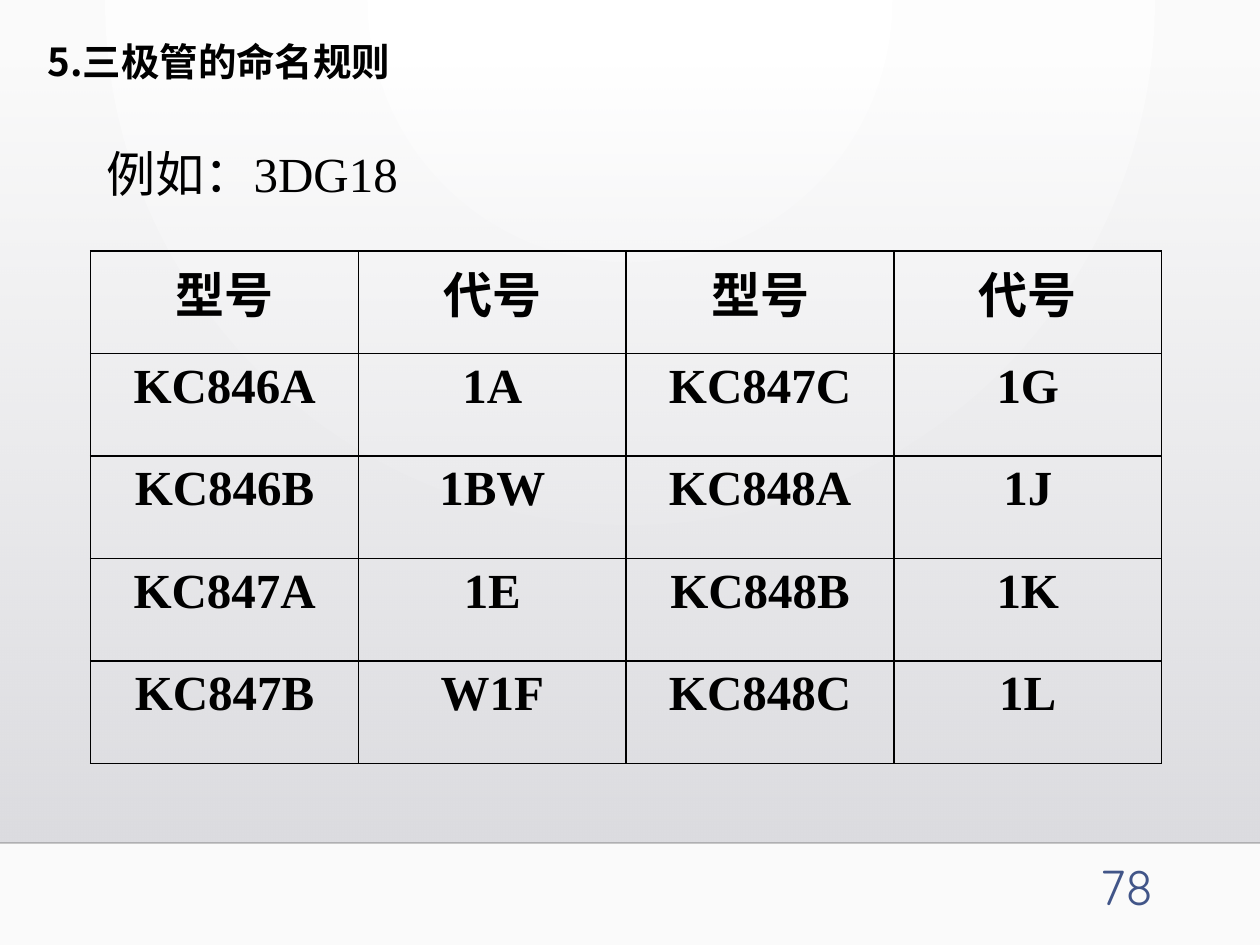
import dataclasses
import pptx
import pptx.dml.color
import pptx.enum.shapes
import pptx.enum.text
import pptx.oxml.ns
import pptx.util
from pptx.util import Inches

qn = pptx.oxml.ns.qn
Align = pptx.enum.text.PP_ALIGN
Anchor = pptx.enum.text.MSO_ANCHOR


@dataclasses.dataclass(frozen=True)
class Theme:
    ink: str = "000000"
    rule: str = "000001"
    number: str = "415588"
    backdrop: tuple = ("FFFFFF", "FAFAFA")
    shade: tuple = ("DCDCE0", "DEDEE2")
    serif: str = "Times New Roman"
    chinese: str = "Noto Sans CJK SC"
    rounded: str = "Quicksand"
    title_size: int = 22
    body_size: int = 28


def rgb(value):
    return pptx.dml.color.RGBColor.from_string(value)


def add_element(parent, tag, **attributes):
    child = parent.makeelement(qn(tag), attributes)
    parent.append(child)
    return child


class SlideBuilder:
    def __init__(self, slide, theme):
        self.slide = slide
        self.theme = theme

    def gradient(self, fill, colors):
        fill.gradient()
        for stop, color, position in zip(fill.gradient_stops, colors, (0, 1)):
            stop.color.rgb = rgb(color)
            stop.position = position

    def background(self):
        self.gradient(self.slide.background.fill, self.theme.backdrop)
        gradient = next(self.slide.element.iter(qn("a:gradFill")))
        gradient.remove(gradient.find(qn("a:lin")))
        radial = add_element(gradient, "a:path", path="circle")
        add_element(radial, "a:fillToRect", l="43000", t="0", r="43000", b="100000")

    def shade(self, left, top, width, height):
        shape = self.slide.shapes.add_shape(
            pptx.enum.shapes.MSO_SHAPE.RECTANGLE,
            Inches(left), Inches(top), Inches(width), Inches(height))
        shape.shadow.inherit = False
        shape.line.fill.background()
        self.gradient(shape.fill, self.theme.shade)
        gradient = next(shape.element.iter(qn("a:gradFill")))
        gradient.find(qn("a:lin")).set("ang", "5400000")
        add_element(next(gradient.iter(qn("a:srgbClr"))), "a:alpha", val="0")

    def rule(self, left, right, height):
        line = self.slide.shapes.add_connector(
            pptx.enum.shapes.MSO_CONNECTOR.STRAIGHT,
            Inches(left), Inches(height), Inches(right), Inches(height))
        line.line.width = pptx.util.Pt(1)
        line.line.color.rgb = rgb(self.theme.rule)
        add_element(next(line.element.iter(qn("a:srgbClr"))), "a:alpha", val="20000")
        add_element(line.element.spPr, "a:effectLst")

    def paragraph(self, para, text, font, size, color, bold=False, align=Align.LEFT):
        para.add_run().text = text
        para.alignment = align
        para.font.name = font
        para.font.size = pptx.util.Pt(size)
        para.font.bold = bold
        para.font.color.rgb = rgb(color)
        properties = next(para._p.iter(qn("a:defRPr")))
        add_element(properties, "a:ea", typeface=self.theme.chinese)

    def text(self, left, top, width, height, text, font, size, color,
             bold=False, align=Align.LEFT, anchor=Anchor.MIDDLE):
        box = self.slide.shapes.add_textbox(
            Inches(left), Inches(top), Inches(width), Inches(height))
        box.text_frame.word_wrap = True
        box.text_frame.vertical_anchor = anchor
        self.paragraph(box.text_frame.paragraphs[0], text, font, size, color, bold, align)

    def border(self, cell):
        properties = cell._tc.get_or_add_tcPr()
        for index, side in enumerate(("a:lnL", "a:lnR", "a:lnT", "a:lnB")):
            line = properties.makeelement(qn(side), {"w": str(pptx.util.Pt(1))})
            solid = add_element(line, "a:solidFill")
            add_element(solid, "a:srgbClr", val=self.theme.ink)
            properties.insert(index, line)

    def table(self, left, top, width, height, rows):
        frame = self.slide.shapes.add_table(
            len(rows), len(rows[0]),
            Inches(left), Inches(top), Inches(width), Inches(height))
        table = frame.table
        table.first_row = table.horz_banding = False
        for row_index, row in enumerate(rows):
            for column_index, text in enumerate(row):
                cell = table.cell(row_index, column_index)
                cell.fill.background()
                self.border(cell)
                self.paragraph(cell.text_frame.paragraphs[0], text, self.theme.serif,
                               self.theme.body_size, self.theme.ink, True, Align.CENTER)


def main():
    theme = Theme()
    deck = pptx.Presentation()
    deck.slide_width, deck.slide_height = Inches(10), Inches(7.5)
    page = SlideBuilder(deck.slides.add_slide(deck.slide_layouts[6]), theme)
    page.background()
    page.shade(0, 0.51, 10, 6.18)
    page.rule(0, 10, 6.69)
    page.text(0.28, 0.25, 7.8, 0.47, "5.三极管的命名规则",
              theme.chinese, theme.title_size, theme.ink, bold=True)
    page.text(0.75, 1.09, 6.69, 0.57, "例如：3DG18",
              theme.serif, theme.body_size, theme.ink)
    page.table(0.72, 1.99, 8.5, 4.07, [
        ("型号", "代号", "型号", "代号"),
        ("KC846A", "1A", "KC847C", "1G"),
        ("KC846B", "1BW", "KC848A", "1J"),
        ("KC847A", "1E", "KC848B", "1K"),
        ("KC847B", "W1F", "KC848C", "1L"),
    ])
    page.text(7.17, 6.75, 2.08, 0.5, "78", theme.rounded, theme.body_size,
              theme.number, align=Align.RIGHT, anchor=Anchor.TOP)
    deck.save("out.pptx")


if __name__ == "__main__":
    main()
